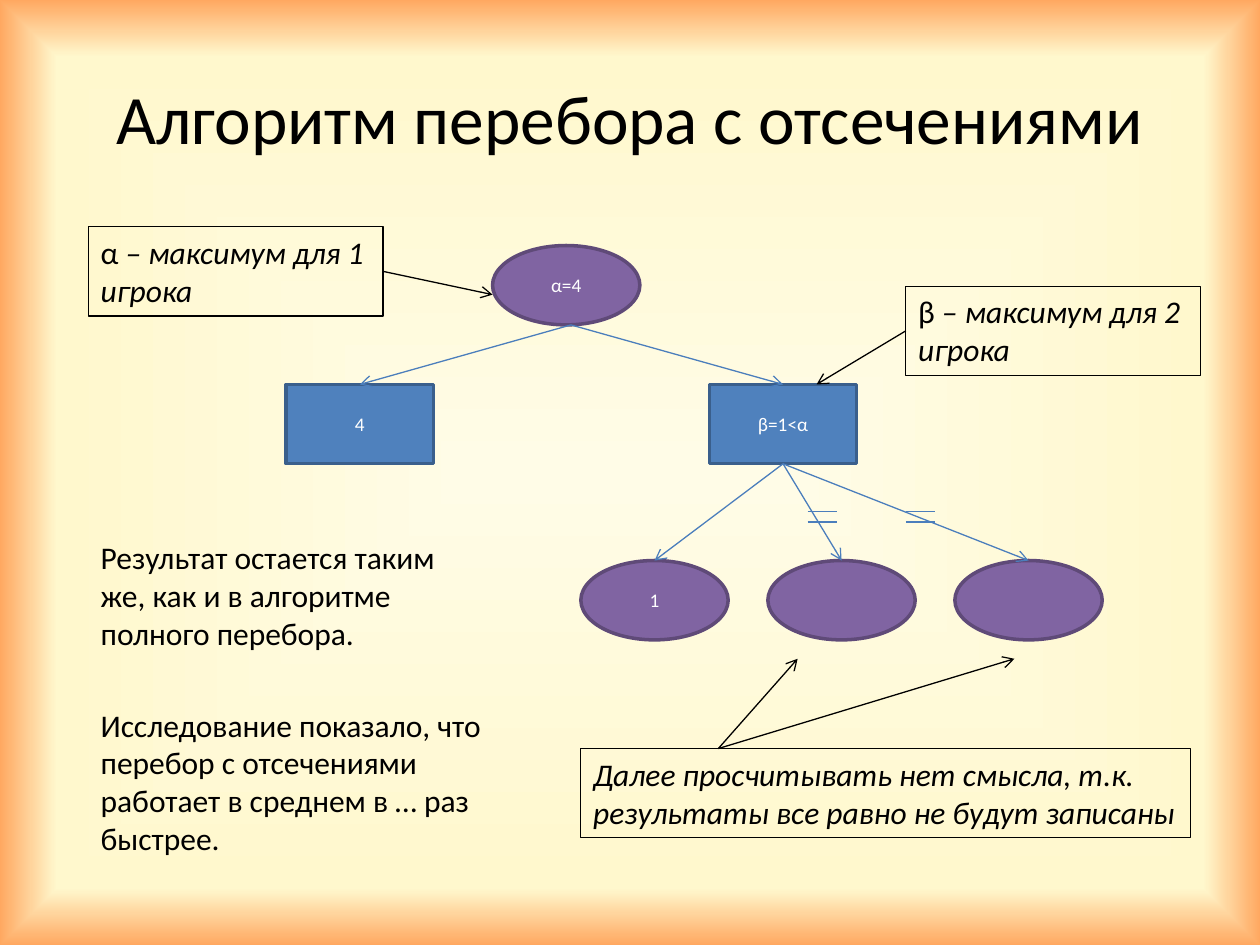
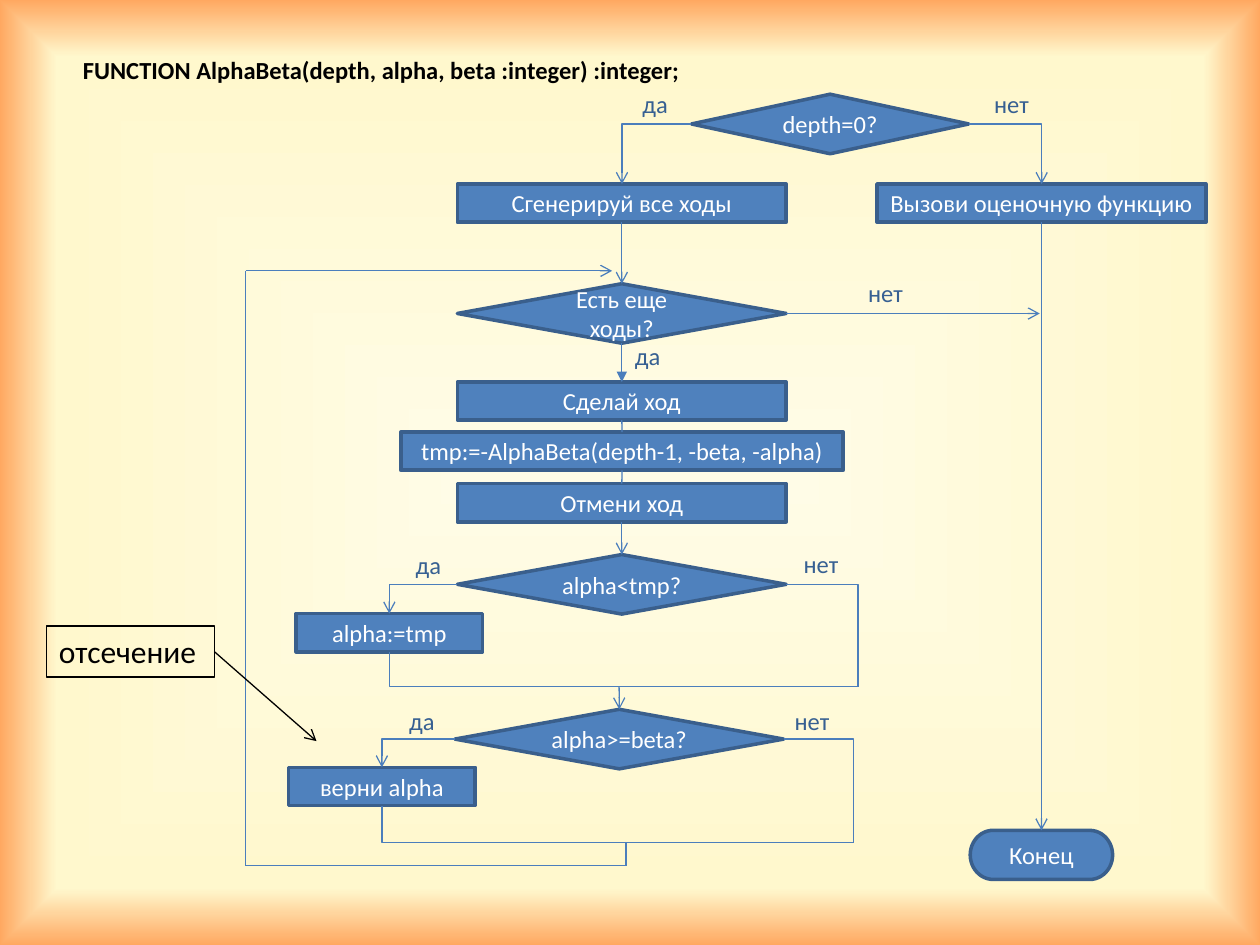
"""Builds two slides on alpha-beta pruning: a game tree and the flowchart of the search."""
from pptx import Presentation
from pptx.dml.color import RGBColor
from pptx.enum.shapes import MSO_CONNECTOR as Link, MSO_SHAPE as Form
from pptx.enum.text import MSO_ANCHOR as Anchor, MSO_AUTO_SIZE as AutoSize, PP_ALIGN as Align
from pptx.oxml import parse_xml
from pptx.oxml.ns import nsdecls, qn
from pptx.util import Cm, Pt

COLORS = {
    "center": "FFFCE7", "paper": "FFF8CD", "edge": "FFA861",
    "black": "000000", "white": "FFFFFF", "label": "376092", "link": "4B7EBC",
    "purple": "8064A2", "purple_line": "5F4A78", "blue": "4F81BD", "blue_line": "3A5F8C",
}
STYLES = {
    "title": {"size": 39.6, "color": "black", "align": Align.CENTER, "anchor": Anchor.MIDDLE},
    "text": {"size": 18, "color": "black"},
    "note": {"size": 18, "color": "black", "line": "black", "width": 0.75},
    "header": {"size": 14, "color": "black", "bold": True},
    "label": {"size": 14, "color": "label", "wrap": False},
    "max_node": {"size": 11, "color": "white", "align": Align.CENTER, "anchor": Anchor.MIDDLE,
                 "form": Form.OVAL, "fill": "purple", "line": "purple_line", "width": 2},
}
STYLES["min_node"] = STYLES["max_node"] | {"form": Form.RECTANGLE, "fill": "blue", "line": "blue_line"}
STYLES["process"] = STYLES["min_node"] | {"size": 14, "form": Form.FLOWCHART_PROCESS}
STYLES["decision"] = STYLES["process"] | {"form": Form.FLOWCHART_DECISION}
STYLES["terminator"] = STYLES["process"] | {"form": Form.FLOWCHART_TERMINATOR}
TOP, LEFT, BOTTOM, RIGHT = range(4)


def add_box(slide, style_name, box, *runs):
    """Adds a styled shape or text box; runs are (text, italic) pairs."""
    style = STYLES[style_name]
    lengths = [Cm(value) for value in box]
    if "form" in style:
        shape = slide.shapes.add_shape(style["form"], *lengths)
        shape.shadow.inherit = False
        shape.fill.solid()
        shape.fill.fore_color.rgb = RGBColor.from_string(COLORS[style["fill"]])
    else:
        shape = slide.shapes.add_textbox(*lengths)
    if "line" in style:
        shape.line.color.rgb = RGBColor.from_string(COLORS[style["line"]])
        shape.line.width = Pt(style["width"])
    frame_format = {
        "word_wrap": style.get("wrap", True),
        "vertical_anchor": style.get("anchor", Anchor.TOP),
        "auto_size": AutoSize.NONE if "anchor" in style else AutoSize.SHAPE_TO_FIT_TEXT,
    }
    for name, value in frame_format.items():
        setattr(shape.text_frame, name, value)
    paragraph = shape.text_frame.paragraphs[0]
    paragraph.alignment = style.get("align", Align.LEFT)
    for text, italic in runs:
        run = paragraph.add_run()
        run.text = text
        font_format = {"name": "Calibri", "size": Pt(style["size"]),
                       "bold": style.get("bold", False), "italic": italic}
        for name, value in font_format.items():
            setattr(run.font, name, value)
        run.font.color.rgb = RGBColor.from_string(COLORS[style["color"]])
    return shape


def add_link(slide, begin, end, head="arrow", color="link", elbow=False):
    """Adds a line between ends given as (x, y) or (shape, side); an elbow runs sideways first."""
    ends = [begin, end]
    joined = [not isinstance(point[0], (int, float)) for point in ends]
    places = [(0, 0) if join else point for point, join in zip(ends, joined)]
    lengths = [Cm(value) for place in places for value in place]
    connector = slide.shapes.add_connector(Link.ELBOW if elbow else Link.STRAIGHT, *lengths)
    for point, join, attach in zip(ends, joined, (connector.begin_connect, connector.end_connect)):
        if join:
            attach(*point)
    connector.line.color.rgb = RGBColor.from_string(COLORS[color])
    connector.line.width = Pt(0.75)
    properties = connector.element.spPr
    if elbow:
        properties.find(qn("a:prstGeom")).set("prst", "bentConnector2")
    if head:
        properties.find(qn("a:ln")).append(parse_xml(f'<a:tailEnd {nsdecls("a")} type="{head}"/>'))
    properties.append(parse_xml(f'<a:effectLst {nsdecls("a")}/>'))


presentation = Presentation()
presentation.slide_width, presentation.slide_height = Cm(25.4), Cm(19.05)
stops = "".join(
    f'<a:gs pos="{percent * 1000}"><a:srgbClr val="{COLORS[name]}"/></a:gs>'
    for percent, name in ((0, "center"), (88, "paper"), (100, "edge")))
background = (
    f'<p:bg {nsdecls("p", "a")}><p:bgPr><a:gradFill rotWithShape="1"><a:gsLst>{stops}</a:gsLst>'
    '<a:path path="rect"><a:fillToRect l="50000" t="50000" r="50000" b="50000"/></a:path>'
    '</a:gradFill><a:effectLst/></p:bgPr></p:bg>')
for _ in range(2):
    slide = presentation.slides.add_slide(presentation.slide_layouts[6])
    slide.element.cSld.insert(0, parse_xml(background))
tree_slide, chart_slide = presentation.slides

add_box(tree_slide, "title", (1.27, 0.76, 22.86, 3.18), ("Алгоритм перебора с отсечениями", False))
NODE = (2.97, 1.6)
add_box(tree_slide, "max_node", (9.93, 4.95, *NODE), ("α=4", False))
leaf_node = add_box(tree_slide, "min_node", (5.77, 7.75, *NODE), ("4", False))
beta_node = add_box(tree_slide, "min_node", (14.3, 7.75, *NODE), ("β=1<α", False))
for node in (leaf_node, beta_node):
    add_link(tree_slide, (11.51, 6.55), (node, TOP))
for index, runs in enumerate(([("1", False)], [], [])):
    left = 11.71 + 3.77 * index
    add_box(tree_slide, "max_node", (left, 11.3, *NODE), *runs)
    add_link(tree_slide, (beta_node, BOTTOM), (left + NODE[0] / 2, 11.3))
for left in (16.28, 18.26):
    for top in (10.31, 10.52):
        add_link(tree_slide, (left, top), (left + 0.59, top), head=None)

alpha_note = add_box(tree_slide, "note", (1.78, 4.57, 5.94, 1.8),
                     ("α", False), (" – максимум для 1 игрока", True))
beta_note = add_box(tree_slide, "note", (18.26, 5.77, 5.94, 1.8),
                    ("β", False), (" – максимум для 2 игрока", True))
add_box(tree_slide, "note", (11.71, 15.09, 12.29, 1.8),
        ("Далее просчитывать нет смысла, т.к. результаты все равно не будут записаны", True))
for begin, end in (
    ((alpha_note, RIGHT), (9.93, 5.94)),
    ((beta_note, LEFT), (16.46, 7.75)),
    ((14.48, 15.09), (16.08, 13.28)),
    ((14.48, 15.09), (20.45, 13.28)),
):
    add_link(tree_slide, begin, end, color="black")
add_box(tree_slide, "text", (1.78, 10.72, 7.75, 2.57),
        ("Результат остается таким же, как и в алгоритме полного перебора.", False))
add_box(tree_slide, "text", (1.78, 14.1, 8.53, 3.33),
        ("Исследование показало, что перебор с отсечениями работает в среднем в … раз быстрее.", False))

add_box(chart_slide, "header", (1.42, 0.99, 12.73, 0.86),
        ("FUNCTION AlphaBeta(depth, alpha, beta :integer) :integer;", False))
steps = {}
for name, style_name, left, top, width, text in (
    ("depth", "decision", 13.94, 1.9, 5.59, "depth=0?"),
    ("evaluate", "process", 17.68, 3.71, 6.63, "Вызови оценочную функцию"),
    ("generate", "process", 9.22, 3.71, 6.63, "Сгенерируй все ходы"),
    ("more", "decision", 9.22, 5.72, 6.63, "Есть еще ходы?"),
    ("move", "process", 9.22, 7.7, 6.63, "Сделай ход"),
    ("recurse", "process", 8.08, 8.71, 8.92, "tmp:=-AlphaBeta(depth-1, -beta, -alpha)"),
    ("undo", "process", 9.22, 9.75, 6.63, "Отмени ход"),
    ("better", "decision", 9.22, 11.18, 6.63, "alpha<tmp?"),
    ("assign", "process", 5.97, 12.37, 3.76, "alpha:=tmp"),
    ("cutoff", "decision", 9.17, 14.3, 6.63, "alpha>=beta?"),
    ("return", "process", 5.82, 15.47, 3.76, "верни alpha"),
    ("finish", "terminator", 19.56, 16.74, 2.87, "Конец"),
):
    height = {"process": 0.77, "decision": 1.2, "terminator": 0.99}[style_name]
    steps[name] = add_box(chart_slide, style_name, (left, top, width, height), (text, False))

for above, below, head in (
    ("generate", "more", "arrow"), ("more", "move", "triangle"), ("move", "recurse", None),
    ("recurse", "undo", None), ("undo", "better", "arrow"), ("evaluate", "finish", "arrow"),
):
    add_link(chart_slide, (steps[above], BOTTOM), (steps[below], TOP), head)
for begin, end, head in (
    ((steps["more"], RIGHT), (20.96, 6.32), "arrow"),
    ((12.48, 13.84), (steps["cutoff"], TOP), "arrow"),
    ((12.62, 16.99), (12.62, 17.45), None),
    ((12.62, 17.45), (4.95, 17.45), None),
    ((4.95, 17.45), (4.95, 5.46), None),
    ((4.95, 5.46), (12.34, 5.46), "arrow"),
):
    add_link(chart_slide, begin, end, head)
for begin, end, head in (
    ((13.94, 2.5), (12.54, 3.71), "arrow"),
    ((19.53, 2.5), (21, 3.71), "arrow"),
    ((9.22, 11.78), (7.85, 12.37), "arrow"),
    ((15.85, 11.78), (17.3, 13.84), None),
    ((17.3, 13.84), (7.85, 13.14), None),
    ((9.17, 14.9), (7.7, 15.47), "arrow"),
    ((15.8, 14.9), (17.2, 16.99), None),
    ((17.2, 16.99), (7.7, 16.24), None),
):
    add_link(chart_slide, begin, end, head, elbow=True)

for text, width, places in (
    ("да", 1.04, ((12.7, 1.68), (12.55, 6.76), (8.13, 10.97), (8, 14.1))),
    ("нет", 1.22, ((19.79, 1.68), (17.25, 5.49), (15.95, 10.95), (15.77, 14.1))),
):
    for left, top in places:
        add_box(chart_slide, "label", (left, top, width, 0.86), (text, False))

cutoff_note = add_box(chart_slide, "note", (0.94, 12.62, 3.38, 1.03), ("отсечение", False))
add_link(chart_slide, (cutoff_note, RIGHT), (6.38, 14.94), color="black")

presentation.save("out.pptx")
